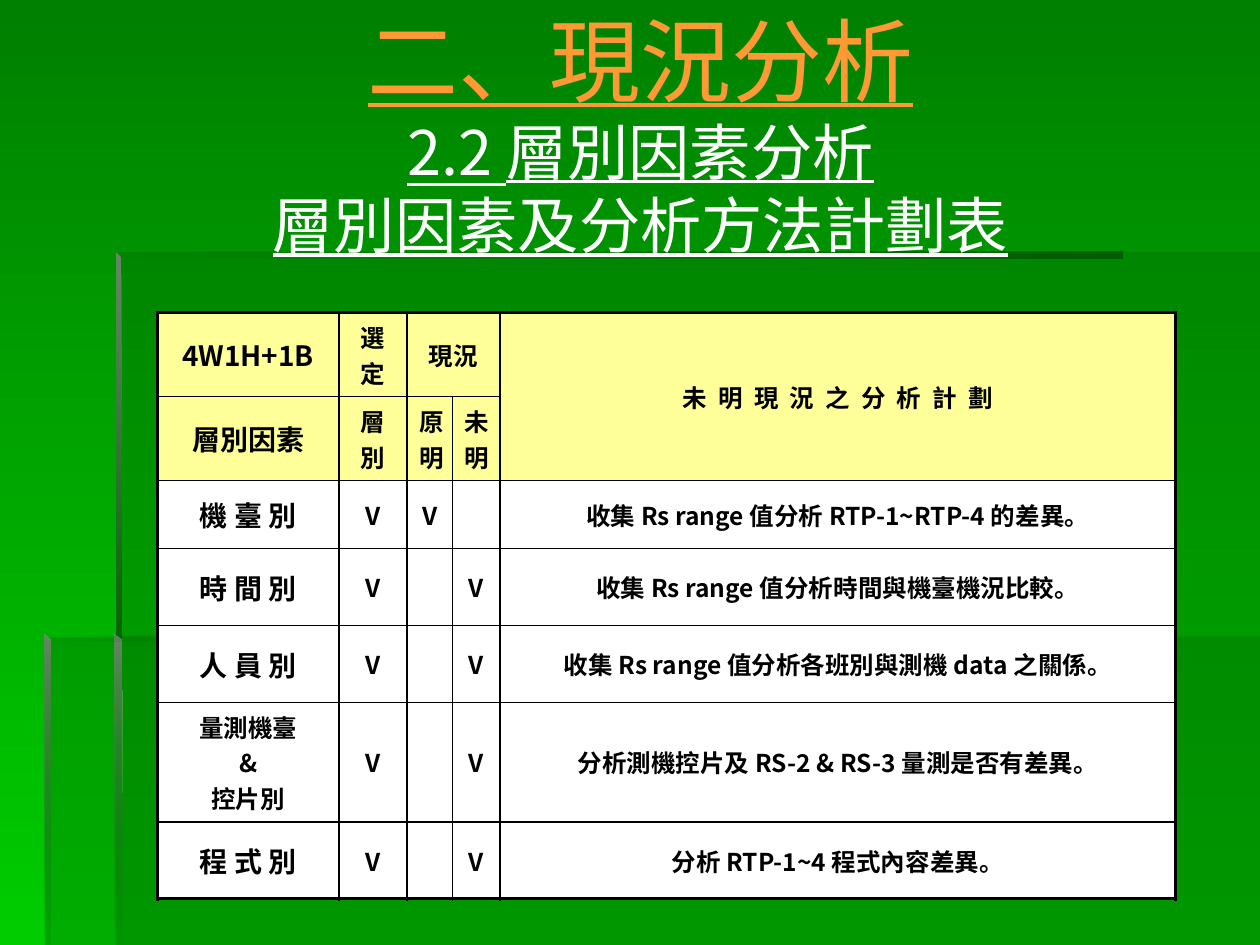
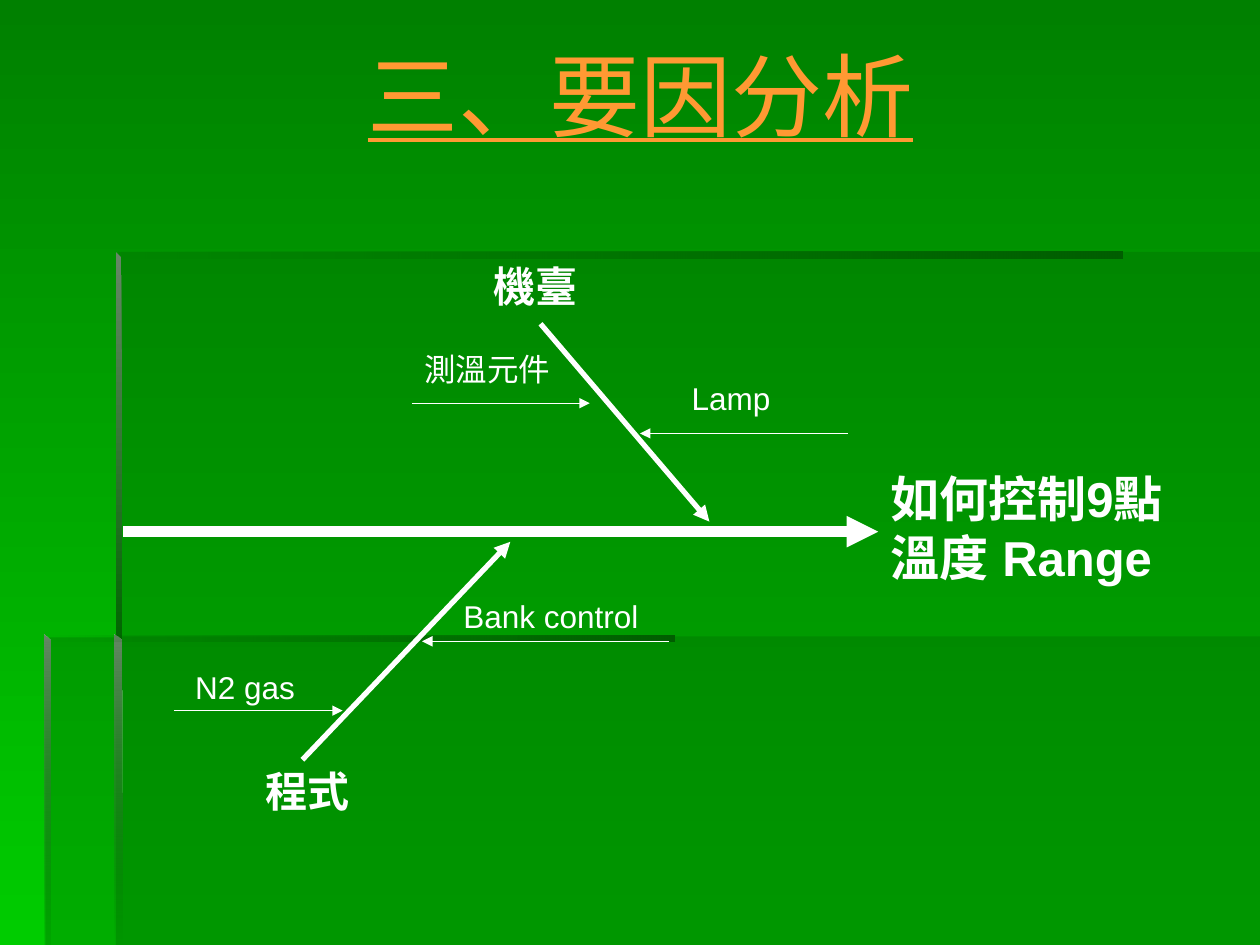
from pptx import Presentation
from pptx.dml.color import RGBColor
from pptx.enum.shapes import MSO_CONNECTOR
from pptx.enum.text import MSO_ANCHOR, MSO_AUTO_SIZE, PP_ALIGN
from pptx.oxml.ns import qn
from pptx.util import Pt
from lxml import etree

STRAIGHT = MSO_CONNECTOR.STRAIGHT
MIDDLE = MSO_ANCHOR.MIDDLE
TOP = MSO_ANCHOR.TOP
GROW = MSO_AUTO_SIZE.SHAPE_TO_FIT_TEXT
NO_FIT = MSO_AUTO_SIZE.NONE
CENTER = PP_ALIGN.CENTER
LEFT = PP_ALIGN.LEFT
BLANK = 6
PX = 9144  # 100 px to the inch
WIDTH, HEIGHT = 1000, 750


class Theme:
    # Colours
    white, black, orange = "FFFFFF", "000000", "FF9933"
    header = "FFFF99"
    back_top, back_bottom = "008000", "00CC00"
    panel, edge_light, edge_dark = "006600", "668666", "005E00"
    # Fonts
    display, sans, latin = "Montserrat", "Noto Sans CJK TC", "Arial"
    # Text formats: latin font, East Asian font, colour and font attributes
    title = (display, display, orange, {"size": Pt(52), "underline": True})
    subtitle = (sans, display, white, {"size": Pt(35), "underline": True})
    cell = (sans, sans, black, {"size": Pt(14), "bold": True})
    cell_large = (sans, sans, black, {"size": Pt(16), "bold": True})
    effect = (latin, display, white, {"size": Pt(28), "bold": True})
    branch = (latin, display, white, {"size": Pt(24), "bold": True})
    cause = (latin, display, white, {"size": Pt(18), "bold": False})
    # Line widths in points
    spine, bone, twig = 6, 3, 0.75
    outer_border, inner_border = 2, 1


class Builder:
    def __init__(self, theme):
        self.theme = theme
        self.deck = Presentation()
        self.deck.slide_width, self.deck.slide_height = WIDTH * PX, HEIGHT * PX
        self.page = None

    def new_page(self):
        theme = self.theme
        self.page = self.deck.slides.add_slide(self.deck.slide_layouts[BLANK])
        self.gradient(self.page.background.fill,
                      [(theme.back_top, 100), (theme.back_bottom, 100)], 90)
        self.backdrop()

    # Fills
    def set_alpha(self, color_parent, percent):
        if percent < 100:
            color = color_parent.find(qn("a:srgbClr"))
            etree.SubElement(color, qn("a:alpha")).set("val", str(percent * 1000))

    def gradient(self, fill, stops, clockwise):
        fill.gradient()
        fill.gradient_angle = -clockwise % 360
        for stop, (color, _) in zip(fill.gradient_stops, stops):
            stop.color.rgb = RGBColor.from_string(color)

    # Shapes
    def outline(self, points):
        builder = self.page.shapes.build_freeform(*points[0], scale=PX)
        builder.add_line_segments(points[1:], close=True)
        shape = builder.convert_to_shape()
        shape.shadow.inherit = False
        shape.line.fill.background()
        return shape

    def panel(self, points):
        shape = self.outline(points)
        shape.fill.solid()
        shape.fill.fore_color.rgb = RGBColor.from_string(self.theme.panel)
        self.set_alpha(shape._element.spPr.find(qn("a:solidFill")), 30)

    def edge(self, points, stops, clockwise):
        shape = self.outline(points)
        self.gradient(shape.fill, stops, clockwise)
        elements = shape._element.spPr.iter(qn("a:gs"))
        for element, (_, alpha) in zip(elements, stops):
            self.set_alpha(element, alpha)

    def backdrop(self):
        theme = self.theme
        across = [(theme.panel, 0), (theme.edge_dark, 100)]

        def down(alpha):
            return [(theme.edge_light, 100), (theme.panel, alpha)]

        # Translucent panels
        self.panel([(92, 505), (92, HEIGHT), (WIDTH, HEIGHT), (WIDTH, 505)])
        self.panel([(94, 506), (36, 506), (36, HEIGHT), (WIDTH, HEIGHT),
                    (WIDTH, 200), (94, 200)])
        # Bevelled edges
        self.edge([(92, 200), (92, 205), (891, 205), (891, 200)], across, 0)
        self.edge([(92, 200), (92, 510), (97, 510), (96, 204)], down(100), 90)
        self.edge([(91, HEIGHT), (97, HEIGHT), (96, 508), (91, 504)], down(0), 90)
        self.edge([(35, 504), (35, 509), (535, 509), (535, 504)], across, 0)
        self.edge([(35, 504), (35, HEIGHT), (40, HEIGHT), (40, 509)], down(10), 90)

    # Text
    def span(self, para, text, style, spacing=0):
        latin, east_asian, color, values = style
        span = para.add_run()
        span.text = text
        span.font.name = latin
        span.font.color.rgb = RGBColor.from_string(color)
        for name, value in values.items():
            setattr(span.font, name, value)
        properties = span._r.get_or_add_rPr()
        etree.SubElement(properties, qn("a:ea")).set("typeface", east_asian)
        if spacing:
            properties.set("spc", str(spacing))

    def text(self, left, top, width, height, lines, align=LEFT, **frame_values):
        box = self.page.shapes.add_textbox(left * PX, top * PX, width * PX, height * PX)
        values = {"word_wrap": True, "auto_size": GROW, "vertical_anchor": TOP}
        for name, value in {**values, **frame_values}.items():
            setattr(box.text_frame, name, value)
        para = box.text_frame.paragraphs[0]
        para.alignment = align
        for index, (line, style) in enumerate(lines):
            if index:
                para.add_line_break()
            self.span(para, line, style)

    def title(self, heading, subtitles=(), bottom=5):
        lines = [(heading, self.theme.title)]
        lines += [(subtitle, self.theme.subtitle) for subtitle in subtitles]
        self.text(50, 27, 917, 157, lines, CENTER, auto_size=NO_FIT,
                  vertical_anchor=MIDDLE, margin_bottom=bottom * PX)

    # Lines
    def arrow(self, start, end, weight):
        line = self.page.shapes.add_connector(
            STRAIGHT, *(value * PX for value in (*start, *end)))
        line.line.color.rgb = RGBColor.from_string(self.theme.white)
        line.line.width = Pt(weight)
        properties = line._element.spPr
        etree.SubElement(properties.find(qn("a:ln")), qn("a:tailEnd")).set("type", "triangle")
        etree.SubElement(properties, qn("a:effectLst"))

    # Tables
    def table(self, left, top, columns, rows):
        frame = self.page.shapes.add_table(
            len(rows), len(columns), left * PX, top * PX, sum(columns) * PX, sum(rows) * PX)
        table = frame.table
        table.first_row = table.horz_banding = False
        for column, width in zip(table.columns, columns):
            column.width = width * PX
        for row, height in zip(table.rows, rows):
            row.height = height * PX
        return table

    def cell(self, cell, text, style, fill, spacing=0):
        cell.fill.solid()
        cell.fill.fore_color.rgb = RGBColor.from_string(fill)
        cell.vertical_anchor = MIDDLE
        for index, line in enumerate(text.split("\n") if text else []):
            paragraphs = cell.text_frame
            para = paragraphs.add_paragraph() if index else paragraphs.paragraphs[0]
            para.alignment = CENTER
            self.span(para, line, style, spacing)

    def borders(self, table):
        theme = self.theme
        last_row, last_column = len(table.rows) - 1, len(table.columns) - 1
        for r in range(last_row + 1):
            for c in range(last_column + 1):
                cell = table.cell(r, c)
                outer_sides = {"lnL": c == 0, "lnR": c == last_column,
                               "lnT": r == 0, "lnB": r == last_row}
                position = 0
                for side, outer in outer_sides.items():
                    if cell.is_spanned and not outer:
                        continue
                    weight = theme.outer_border if outer else theme.inner_border
                    line = etree.Element(qn("a:" + side), w=str(Pt(weight)))
                    fill = etree.SubElement(line, qn("a:solidFill"))
                    etree.SubElement(fill, qn("a:srgbClr")).set("val", theme.black)
                    cell._tc.get_or_add_tcPr().insert(position, line)
                    position += 1


def factor_page(builder):
    theme = builder.theme
    builder.new_page()
    builder.title("二、現況分析", ["2.2 層別因素分析", "層別因素及分析方法計劃表"])
    table = builder.table(125, 248, [144, 54, 36, 38, 536],
                          [57, 57, 54, 61, 61, 80, 61])
    table.cell(0, 2).merge(table.cell(0, 3))
    table.cell(0, 4).merge(table.cell(1, 4))
    contents = [
        ["4W1H+1B", "選定", "現況", "", "未 明 現 況 之 分 析 計 劃"],
        ["層別因素", "層別", "原明", "未\n明", ""],
        ["機 臺 別", "V", "V", "", "收集 Rs range 值分析 RTP-1~RTP-4 的差異。"],
        ["時 間 別", "V", "", "V", "收集 Rs range 值分析時間與機臺機況比較。"],
        ["人 員 別", "V", "", "V", "收集 Rs range 值分析各班別與測機 data 之關係。"],
        ["量測機臺\n&\n控片別", "V", "", "V", "分析測機控片及 RS-2 & RS-3 量測是否有差異。"],
        ["程 式 別", "V", "", "V", "分析 RTP-1~4 程式內容差異。"],
    ]
    for r, row in enumerate(contents):
        fill = theme.header if r < 2 else theme.white
        for c, text in enumerate(row):
            large = c == 0 and "\n" not in text
            style = theme.cell_large if large else theme.cell
            spacing = 160 if (r, c) == (0, 4) else 0
            builder.cell(table.cell(r, c), text, style, fill, spacing)
    builder.borders(table)


def cause_page(builder):
    theme = builder.theme
    builder.new_page()
    builder.title("三、要因分析", bottom=66)
    # Fishbone arrows
    for start, end, weight in [
        ((98, 422), (697, 422), theme.spine),
        ((429, 257), (563, 414), theme.bone),
        ((240, 603), (405, 430), theme.bone),
        ((138, 564), (272, 564), theme.twig),
        ((531, 509), (335, 509), theme.twig),
        ((327, 320), (468, 320), theme.twig),
        ((673, 344), (508, 344), theme.twig),
    ]:
        builder.arrow(start, end, weight)
    # Branches, causes and effect
    for left, top, width, height, label, style in [
        (201, 603, 110, 50, "程式", theme.branch),
        (382, 202, 126, 50, "機臺", theme.branch),
        (539, 296, 150, 40, "Lamp", theme.cause),
        (327, 273, 126, 40, "測溫元件", theme.cause),
        (145, 525, 134, 40, "N2 gas", theme.cause),
        (358, 469, 252, 40, "Bank control", theme.cause),
        (697, 367, 252, 103, "如何控制9點溫度 Range", theme.effect),
    ]:
        builder.text(left, top, width, height, [(label, style)])


def main():
    builder = Builder(Theme())
    factor_page(builder)
    cause_page(builder)
    builder.deck.save("out.pptx")


if __name__ == "__main__":
    main()
